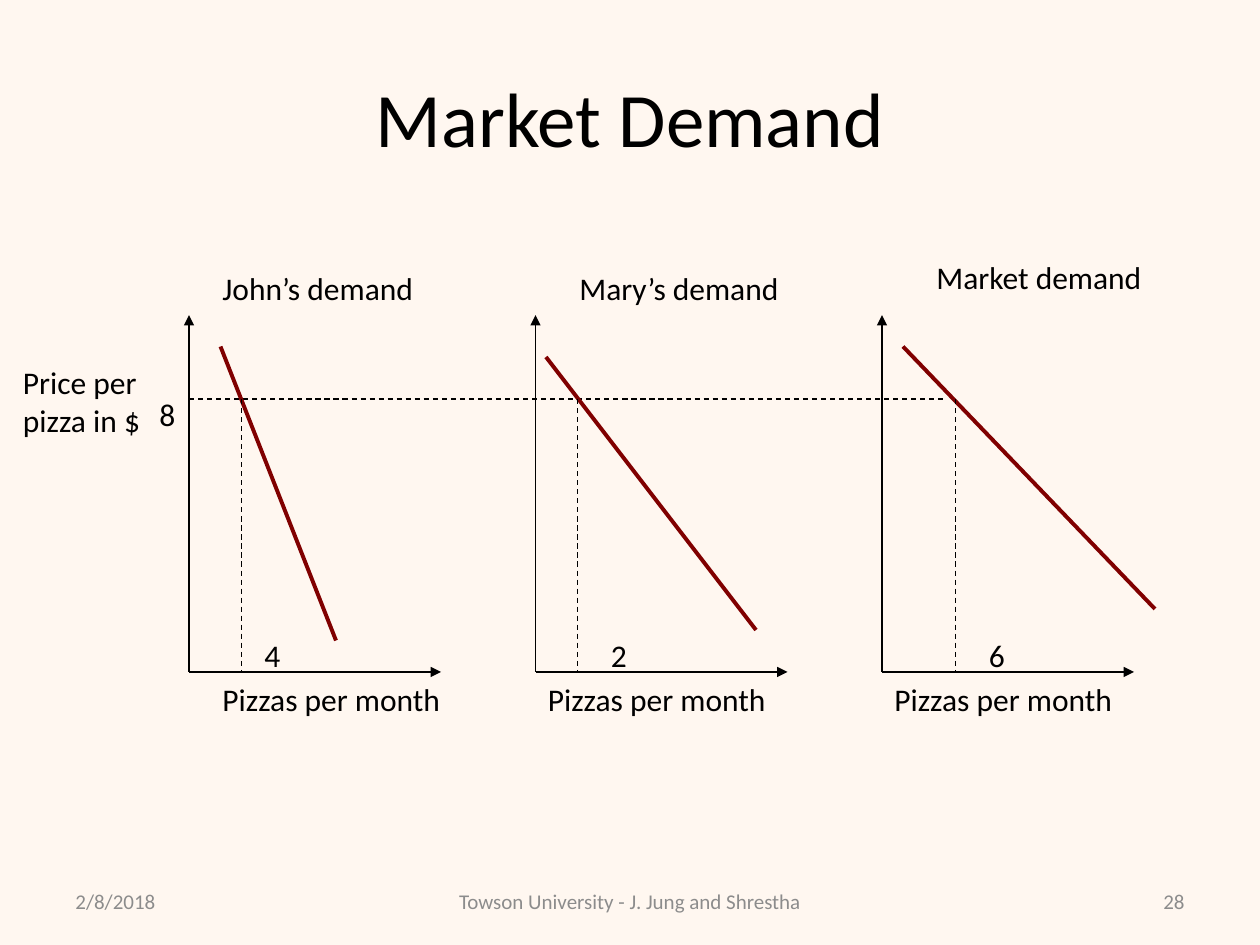
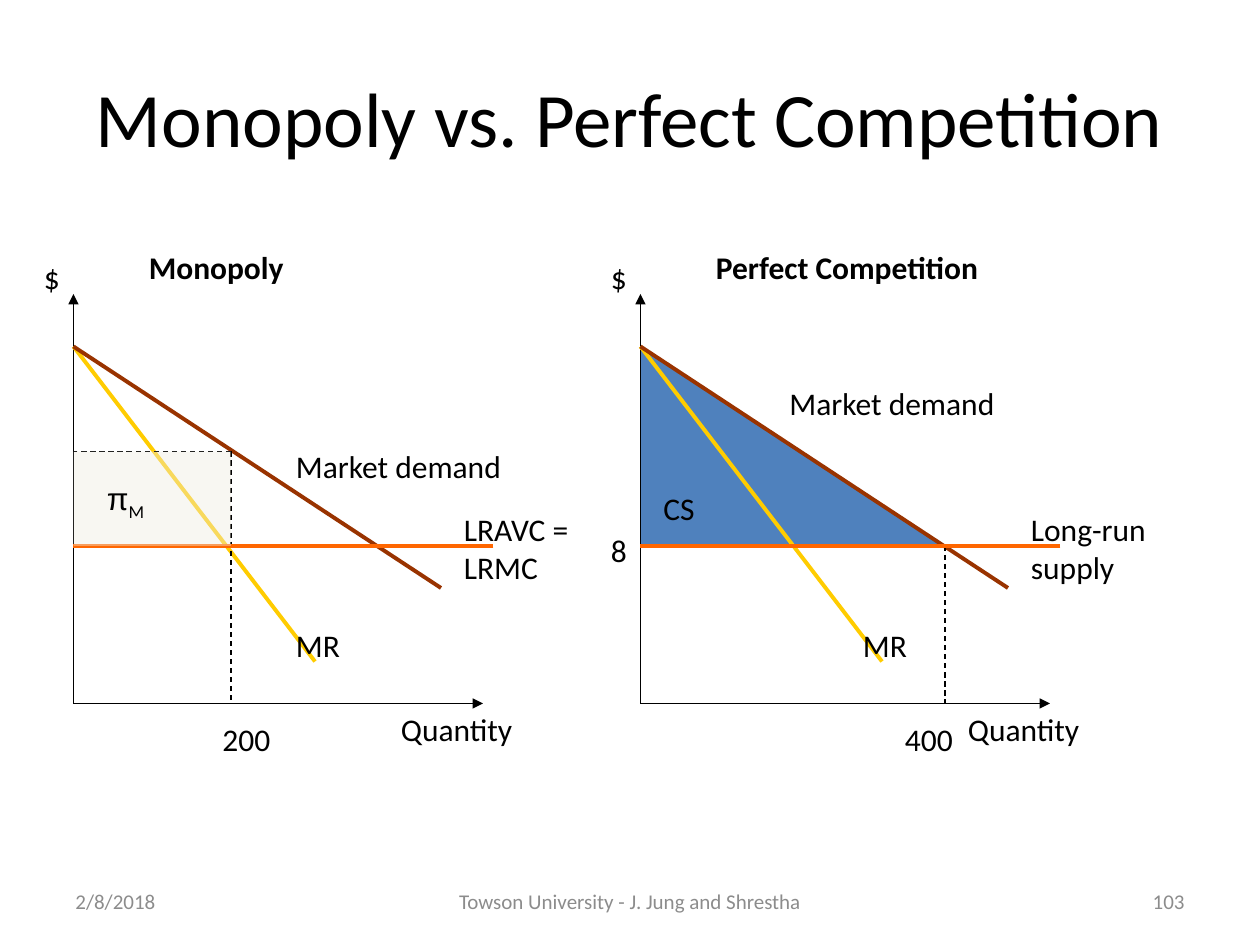
from lxml.etree import SubElement
from pptx import Presentation
from pptx.dml.color import RGBColor
from pptx.enum.dml import MSO_LINE
from pptx.enum.shapes import MSO_CONNECTOR, MSO_SHAPE
from pptx.enum.text import MSO_ANCHOR, MSO_AUTO_SIZE, PP_ALIGN
from pptx.oxml.ns import qn
from pptx.util import Inches, Pt


def color(value):
    return RGBColor.from_string(value)


class Board:
    COLUMNS, ROWS = 120, 90
    FONT = "Calibri"
    BLACK, GRAY, BLUE, CREAM = "000000", "8C8C8C", "4F81BD", "EEECE1"
    MAROON, BROWN, YELLOW, ORANGE = "800000", "993300", "FFCC00", "FF6600"
    LABEL_ROWS = 4.8

    def __init__(self):
        self.deck = Presentation()
        self.deck.slide_width, self.deck.slide_height = Inches(10), Inches(7.5)
        self.page = None

    def place(self, column, row):
        return (round(self.deck.slide_width * column / self.COLUMNS),
                round(self.deck.slide_height * row / self.ROWS))

    def start(self, title, number, background):
        self.page = self.deck.slides.add_slide(self.deck.slide_layouts[6])
        fill = self.page.background.fill
        fill.solid()
        fill.fore_color.rgb = color(background)
        self.text(6, 3.6, 108, title, rows=15, size=44,
                  align=PP_ALIGN.CENTER, middle=True)
        footers = [(6, 28, "2/8/2018", PP_ALIGN.LEFT),
                   (41, 38, "Towson University - J. Jung and Shrestha", PP_ALIGN.CENTER),
                   (86, 28, number, PP_ALIGN.RIGHT)]
        for column, width, words, align in footers:
            self.text(column, 83.4, width, words, size=12, tone=self.GRAY,
                      align=align, middle=True)

    def span(self, para, words, size=18, tone=BLACK, bold=False, font=FONT):
        span = para.add_run()
        span.text = words
        span.font.name, span.font.size, span.font.bold = font, Pt(size), bold
        span.font.color.rgb = color(tone)
        return span

    def text(self, column, row, width, words, rows=LABEL_ROWS,
             align=PP_ALIGN.LEFT, middle=False, **style):
        box = self.page.shapes.add_textbox(*self.place(column, row),
                                           *self.place(width, rows))
        frame = box.text_frame
        frame.word_wrap = True
        if middle:
            frame.vertical_anchor = MSO_ANCHOR.MIDDLE
        else:
            frame.auto_size = MSO_AUTO_SIZE.SHAPE_TO_FIT_TEXT
        para = frame.paragraphs[0]
        para.alignment = align
        self.span(para, words, **style)
        return para

    def subscript(self, para, words):
        self.span(para, words).font._element.set("baseline", "-25000")

    def area(self, kind, column, row, width, rows, tone, opacity=100):
        shape = self.page.shapes.add_shape(kind, *self.place(column, row),
                                           *self.place(width, rows))
        shape.shadow.inherit = False
        shape.fill.solid()
        shape.fill.fore_color.rgb = color(tone)
        shape.line.fill.background()
        if opacity < 100:
            solid = shape._element.spPr.find(qn("a:solidFill"))
            SubElement(solid[0], qn("a:alpha")).set("val", str(opacity * 1000))
        return shape

    def line(self, start, end, tone=BLACK, weight=0.75, dashed=False, arrow=False):
        line = self.page.shapes.add_connector(
            MSO_CONNECTOR.STRAIGHT, *self.place(*start), *self.place(*end))
        line.line.color.rgb = color(tone)
        line.line.width = Pt(weight)
        if dashed:
            line.line.dash_style = MSO_LINE.DASH
        if arrow:
            SubElement(line.line._get_or_add_ln(), qn("a:tailEnd")).set("type", "triangle")
        SubElement(line._element.spPr, qn("a:effectLst"))

    def curve(self, start, end, tone):
        self.line(start, end, tone, weight=2.25)

    def axes(self, column, base, top, length):
        for end in [(column, top), (column + length, base)]:
            self.line((column, base), end, arrow=True)


def market_demand(board):
    board.start("Market Demand", "28", "FFF7F0")
    base, price = 64, 38
    board.line((18, price), (90, price), dashed=True)
    board.text(1, 34, 16, "Price per pizza in $", rows=8.4)
    board.text(14, 37, 7, "8")
    panels = [
        (18, (20, 25, 26, "John’s demand"), (21, 33), (32, 61), 23, (24, "4"), (20, 33)),
        (51, (54, 25, 23, "Mary’s demand"), (52, 34), (72, 60), 55, (57, "2"), (51, 31)),
        (84, (88, 24, 24, "Market demand"), (86, 33), (110, 58), 91, (93, "6"), (84, 31)),
    ]
    for origin, heading, high, low, quantity, (column, amount), (left, width) in panels:
        board.axes(origin, base, 30, 24)
        board.curve(high, low, board.MAROON)
        board.line((quantity, price), (quantity, base), dashed=True)
        board.text(column, 60, 6, amount)
        board.text(left, 64.2, width, "Pizzas per month")
        board.text(*heading)


def market_panel(board, origin, heading, demand_label, cost_label, quantity, price, amount):
    base, peak, cost = 67, 33, 52
    quantity_column = origin + quantity
    board.axes(origin, base, 28, 39)
    board.curve((origin, peak), (origin + 23, 63), board.YELLOW)
    board.curve((origin, peak), (origin + 35, 56), board.BROWN)
    board.line((quantity_column, price), (quantity_column, base), dashed=True)
    board.curve((origin + 40, cost), (origin, cost), board.ORANGE)
    board.text(origin - 4, 24, 39, "$")
    board.text(origin + 6, 23, 36, heading, bold=True)
    column, row = demand_label
    board.text(origin + column, row, 26, "Market demand")
    board.text(origin + 20, 59, 22, "MR")
    board.text(origin + 36, 48, 15, cost_label, rows=8.4)
    board.text(origin + 30, base, 26, "Quantity")
    column, words = amount
    board.text(origin + column, 68, 10, words)


def monopoly_and_competition(board):
    board.start("Monopoly vs. Perfect Competition", "103", "FFFFFF")
    left, right = 7, 61
    board.area(MSO_SHAPE.RIGHT_TRIANGLE, right, 33, 29, 19, board.BLUE)
    market_panel(board, left, "Monopoly", (20, 42), "LRAVC = LRMC",
                 15, 43, (13, "200"))
    board.line((left + 15, 43), (left, 43), dashed=True)
    market_panel(board, right, "Perfect Competition", (13, 36), "Long-run supply",
                 29, 52, (24, "400"))
    board.text(right - 4, 50, 5, "8")
    board.area(MSO_SHAPE.RECTANGLE, left, 43, 15, 9, board.CREAM, opacity=41)
    profit = board.text(9, 45, 8, "π", font="Arial")
    board.subscript(profit, "M")
    surplus = board.area(MSO_SHAPE.RECTANGLE, 62, 46, 8, board.LABEL_ROWS, board.BLUE)
    surplus.text_frame.vertical_anchor = MSO_ANCHOR.TOP
    para = surplus.text_frame.paragraphs[0]
    para.alignment = PP_ALIGN.LEFT
    board.span(para, "CS")


def main():
    board = Board()
    market_demand(board)
    monopoly_and_competition(board)
    board.deck.save("out.pptx")


if __name__ == "__main__":
    main()
